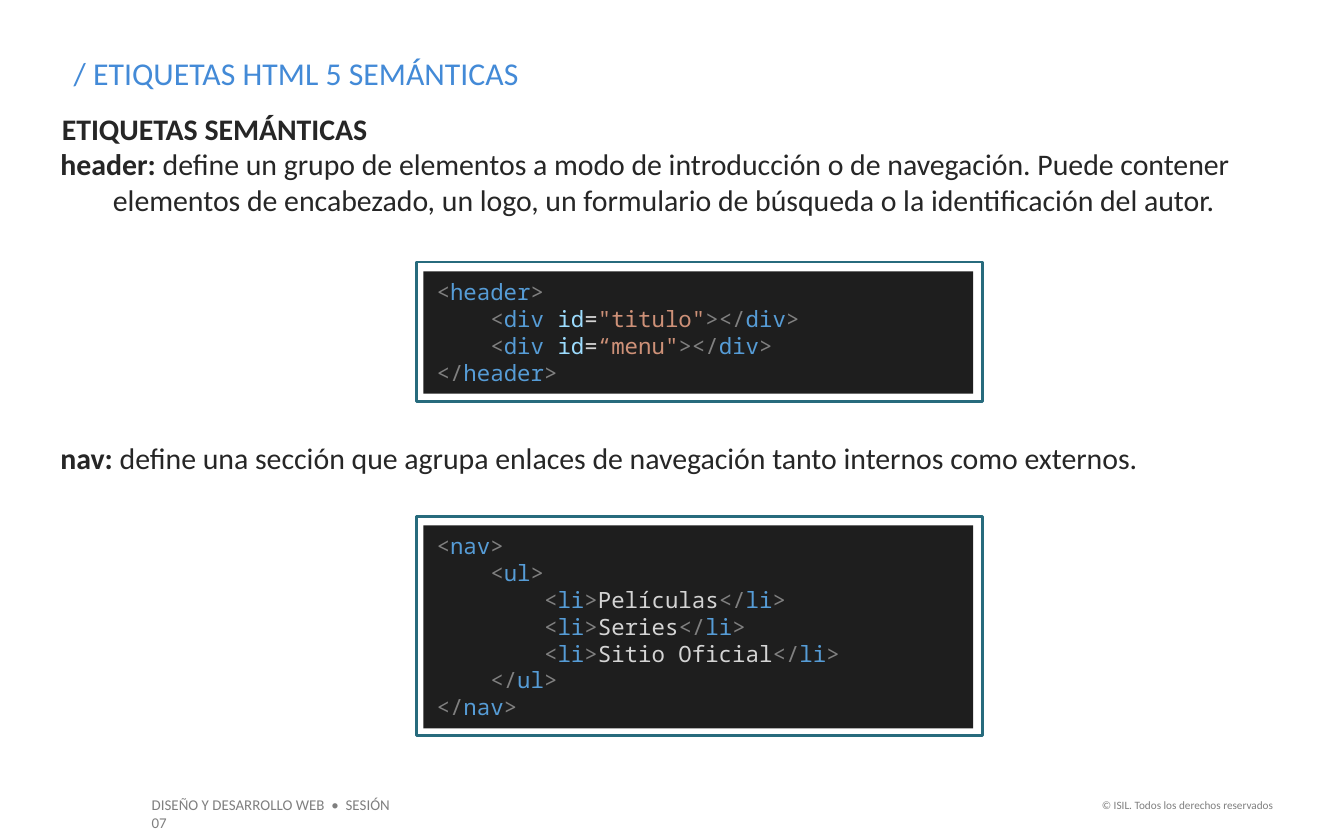
from dataclasses import dataclass

from pptx import Presentation
from pptx.dml.color import RGBColor
from pptx.enum.shapes import MSO_SHAPE
from pptx.enum.text import MSO_ANCHOR, PP_ALIGN
from pptx.util import Inches, Pt

WIDTH, HEIGHT = 10, 6.25


@dataclass(frozen=True)
class Theme:
    """Fonts, type sizes and colours of the slide."""
    font: str = "Calibri"
    mono: str = "Noto Sans Mono"
    title_size: float = 17
    body_size: float = 16
    code_size: float = 12
    code_pitch: float = 14.4
    footer_size: float = 8
    rights_size: float = 6
    title: str = "438AD7"
    body: str = "262626"
    muted: str = "7F7F7F"
    frame: str = "276B7D"
    paper: str = "FFFFFF"
    panel: str = "1E1E1E"
    bracket: str = "808080"
    tag: str = "569CD6"
    attr: str = "9CDCFE"
    value: str = "CE9178"
    plain: str = "D4D4D4"


T = Theme()


def place(left, top, width, height):
    """Turn percentages of the slide into lengths."""
    return (Inches(WIDTH * left / 100), Inches(HEIGHT * top / 100),
            Inches(WIDTH * width / 100), Inches(HEIGHT * height / 100))


def add_run(p, text, size, color, font=T.font, bold=False):
    """Add one formatted run to a paragraph."""
    r = p.add_run()
    r.text = text
    r.font.name, r.font.size, r.font.bold = font, Pt(size), bold
    r.font.color.rgb = RGBColor.from_string(color)


def add_textbox(s, box, inset=True):
    """Add a wrapping text box and return its text frame."""
    tf = s.shapes.add_textbox(*place(*box)).text_frame
    tf.word_wrap = True
    if not inset:
        tf.margin_left = tf.margin_right = tf.margin_top = tf.margin_bottom = 0
    return tf


def add_label(s, box, text, size, color, align=PP_ALIGN.LEFT):
    """Add a text box with a single plain line."""
    p = add_textbox(s, box).paragraphs[0]
    p.alignment = align
    add_run(p, text, size, color)


def add_definition(p, term, meaning):
    """Write a bold term and its meaning with a hanging indent."""
    pPr = p._p.get_or_add_pPr()
    pPr.set("marL", str(Inches(0.39)))
    pPr.set("indent", str(-Inches(0.39)))
    add_run(p, term + ": ", T.body_size, T.body, bold=True)
    add_run(p, meaning, T.body_size, T.body)


def add_rect(s, box, fill, line=None):
    """Add a flat rectangle with an optional outline."""
    sp = s.shapes.add_shape(MSO_SHAPE.RECTANGLE, *place(*box))
    sp.shadow.inherit = False
    sp.fill.solid()
    sp.fill.fore_color.rgb = RGBColor.from_string(fill)
    if line:
        sp.line.color.rgb = RGBColor.from_string(line)
        sp.line.width = Pt(1.5)
    else:
        sp.line.fill.background()
    return sp


def opening(name, value=None):
    """Return the coloured pieces of an opening tag."""
    if value is None:
        return [("<", T.bracket), (name, T.tag), (">", T.bracket)]
    return [("<", T.bracket), (name + " ", T.tag), ("id", T.attr),
            ("=", T.plain), (value, T.value), (">", T.bracket)]


def closing(name):
    """Return the coloured pieces of a closing tag."""
    return [("</", T.bracket), (name, T.tag), (">", T.bracket)]


def indent(level, pieces):
    """Indent a code line by four spaces per level."""
    return [("    " * level, T.plain)] + pieces


def item(text):
    """Return a list item line."""
    return indent(2, opening("li") + [(text, T.plain)] + closing("li"))


def add_code(s, top, lines):
    """Add a framed dark panel sized to its lines of code."""
    left, width, height = 31.5, 40.9, 3.2 * len(lines) + 1.76
    add_rect(s, (left - 0.5, top - 1.12, width + 1.2, height + 2), T.paper, T.frame)
    tf = add_rect(s, (left, top, width, height), T.panel).text_frame
    tf.vertical_anchor = MSO_ANCHOR.TOP
    tf.word_wrap = True
    for i, line in enumerate(lines):
        p = tf.add_paragraph() if i else tf.paragraphs[0]
        p.alignment = PP_ALIGN.LEFT
        p.line_spacing = Pt(T.code_pitch)
        for text, color in line:
            add_run(p, text, T.code_size, color, T.mono)


def main():
    """Build and save the slide."""
    prs = Presentation()
    prs.slide_width, prs.slide_height = Inches(WIDTH), Inches(HEIGHT)
    s = prs.slides.add_slide(prs.slide_layouts[6])

    add_label(s, (10.3, 93.92, 21.1, 3.84), "DISEÑO Y DESARROLLO WEB  •  SESIÓN 07",
              T.footer_size, T.muted)
    add_label(s, (80.7, 94.24, 15, 3.2), "© ISIL. Todos los derechos reservados",
              T.rights_size, T.muted, PP_ALIGN.RIGHT)
    add_label(s, (4.5, 5.6, 78.8, 6.24), "/ ETIQUETAS HTML 5 SEMÁNTICAS",
              T.title_size, T.title)

    tf = add_textbox(s, (4.5, 13.12, 88.1, 12.96), inset=False)
    p = tf.paragraphs[0]
    p._p.get_or_add_pPr().set("marL", str(Inches(0.01)))
    add_run(p, "ETIQUETAS SEMÁNTICAS", T.body_size, T.body, bold=True)
    add_definition(tf.add_paragraph(), "header",
                   "define un grupo de elementos a modo de introducción o de navegación. "
                   "Puede contener elementos de encabezado, un logo, un formulario de "
                   "búsqueda o la identificación del autor.")
    add_code(s, 32.32, [
        opening("header"),
        indent(1, opening("div", '"titulo"') + closing("div")),
        indent(1, opening("div", '“menu"') + closing("div")),
        closing("header"),
    ])

    tf = add_textbox(s, (4.5, 52.32, 85.6, 4.32), inset=False)
    add_definition(tf.paragraphs[0], "nav",
                   "define una sección que agrupa enlaces de navegación tanto internos "
                   "como externos.")
    add_code(s, 62.56, [
        opening("nav"),
        indent(1, opening("ul")),
        *[item(text) for text in ("Películas", "Series", "Sitio Oficial")],
        indent(1, closing("ul")),
        closing("nav"),
    ])
    prs.save("out.pptx")


if __name__ == "__main__":
    main()
